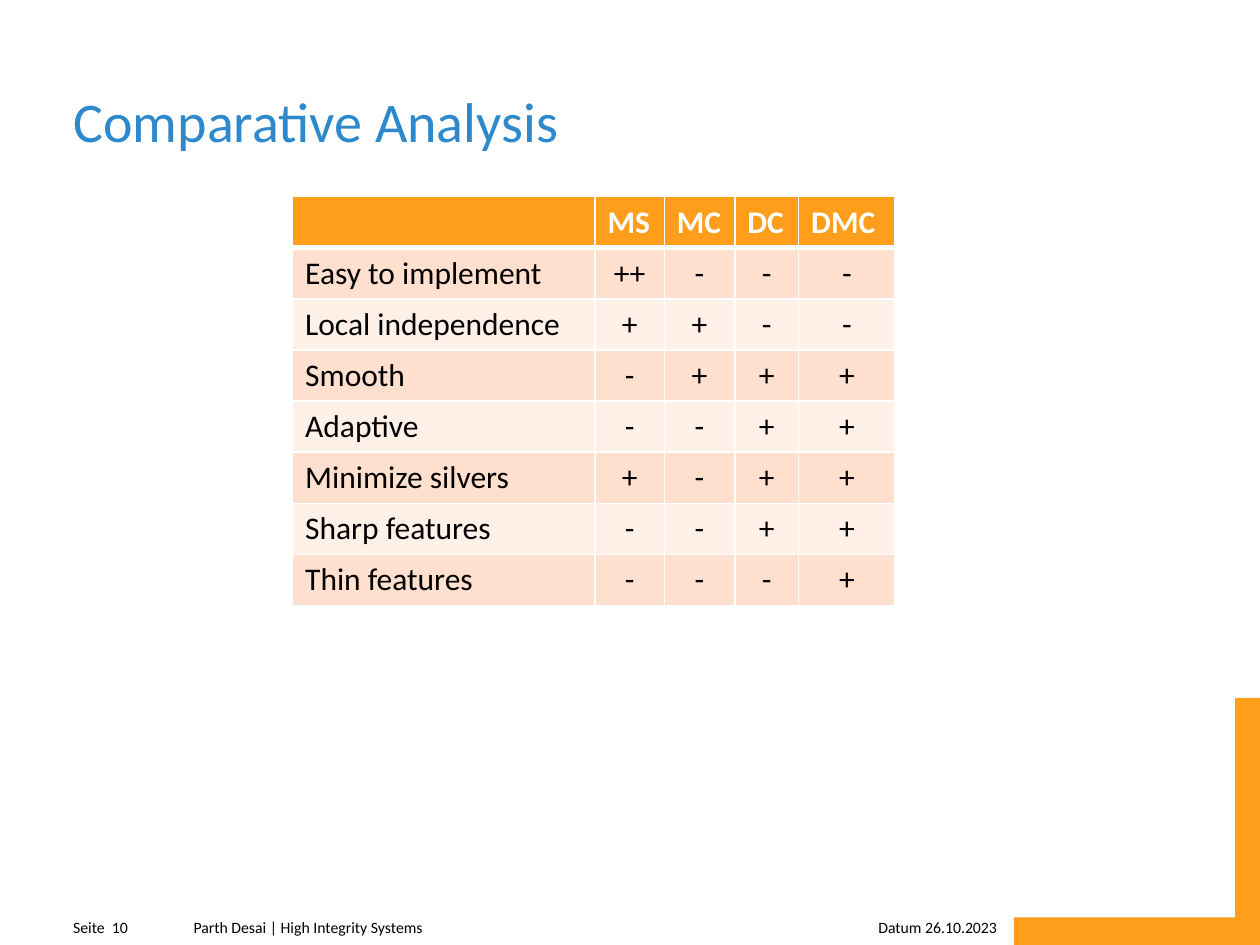
from lxml import etree
from pptx import Presentation
from pptx.dml.color import RGBColor
from pptx.enum import shapes, text
from pptx.oxml import ns
from pptx.util import Pt

ORANGE, WHITE, BLACK = "FF9E1B", "FFFFFF", "000000"
LEFT, MID, RIGHT = text.PP_ALIGN.LEFT, text.PP_ALIGN.CENTER, text.PP_ALIGN.RIGHT


def color(code):
    return RGBColor.from_string(code)


def write(frame, words, size, code, align=LEFT, bold=False):
    par = frame.paragraphs[0]
    par.alignment = align
    run = par.add_run()
    run.text = words
    run.font.name = "Calibri"
    run.font.size = Pt(size)
    run.font.bold = bold
    run.font.color.rgb = color(code)
    return par


deck = Presentation()
deck.slide_width, deck.slide_height = Pt(720), Pt(540)
slide = deck.slides.add_slide(deck.slide_layouts[6])

# Corner ornament, mirrored to the right
corner = slide.shapes.add_shape(
    shapes.MSO_SHAPE.CORNER, Pt(579.4), Pt(398.8), Pt(141.8), Pt(141.8))
corner.adjustments[0], corner.adjustments[1] = 0.115, 0.108
corner._element.spPr.find(ns.qn("a:xfrm")).set("flipH", "1")
corner.shadow.inherit = False
corner.fill.solid()
corner.fill.fore_color.rgb = color(ORANGE)
corner.line.fill.background()

# Title and footer: words, box, size, colour, alignment, line spacing, wrap
labels = [
    ("Comparative Analysis", (42, 22.3, 644, 66.2), 32, "2D89CC", LEFT, 0.9, True),
    ("Seite  10", (41.8, 524.2, 39.6, 10.8), 9, BLACK, LEFT, 1.0, False),
    ("Parth Desai | High Integrity Systems", (110.6, 522.5, 283.7, 12.5),
     9, BLACK, LEFT, 1.2, True),
    ("Datum 26.10.2023", (427.9, 522.5, 141.8, 12.5), 9, BLACK, RIGHT, 1.2, True),
]
for words, place, size, code, align, gap, wrap in labels:
    box = slide.shapes.add_textbox(*[Pt(n) for n in place])
    frame = box.text_frame
    frame.margin_left = frame.margin_right = 0
    frame.margin_top = frame.margin_bottom = 0
    frame.word_wrap = wrap
    frame.vertical_anchor = text.MSO_ANCHOR.BOTTOM
    write(frame, words, size, code, align).line_spacing = gap

# Comparison table
rows = [
    ("", "MS", "MC", "DC", "DMC"),
    ("Easy to implement", "++", "-", "-", "-"),
    ("Local independence", "+", "+", "-", "-"),
    ("Smooth", "-", "+", "+", "+"),
    ("Adaptive", "-", "-", "+", "+"),
    ("Minimize silvers", "+", "-", "+", "+"),
    ("Sharp features", "-", "-", "+", "+"),
    ("Thin features", "-", "-", "-", "+"),
]
widths = [172.8, 39.6, 40.3, 36.5, 55.2]
high = 29.2
table = slide.shapes.add_table(
    len(rows), len(widths), Pt(167.2), Pt(112.4),
    Pt(sum(widths)), Pt(high * len(rows))).table
for col, width in zip(table.columns, widths):
    col.width = Pt(width)

for r, row in enumerate(rows):
    table.rows[r].height = Pt(high)
    head = r == 0
    for c, words in enumerate(row):
        cell = table.cell(r, c)
        cell.fill.solid()
        cell.fill.fore_color.rgb = color(
            ORANGE if head else ("FFF0E8", "FFDFCD")[r % 2])
        mark = c > 0 and not head
        if mark:
            cell.vertical_anchor = text.MSO_ANCHOR.MIDDLE
        if words:
            write(cell.text_frame, words, 18, WHITE if head else BLACK,
                  MID if mark else LEFT, head)

        # White borders, thick between header and body
        props = cell._tc.get_or_add_tcPr()
        for i, side in enumerate("LRTB"):
            thick = (head and side == "B") or (r == 1 and side == "T")
            line = etree.Element(ns.qn("a:ln" + side), w=str(Pt(3 if thick else 1)))
            fill = etree.SubElement(line, ns.qn("a:solidFill"))
            etree.SubElement(fill, ns.qn("a:srgbClr"), val=WHITE)
            props.insert(i, line)

deck.save("out.pptx")
